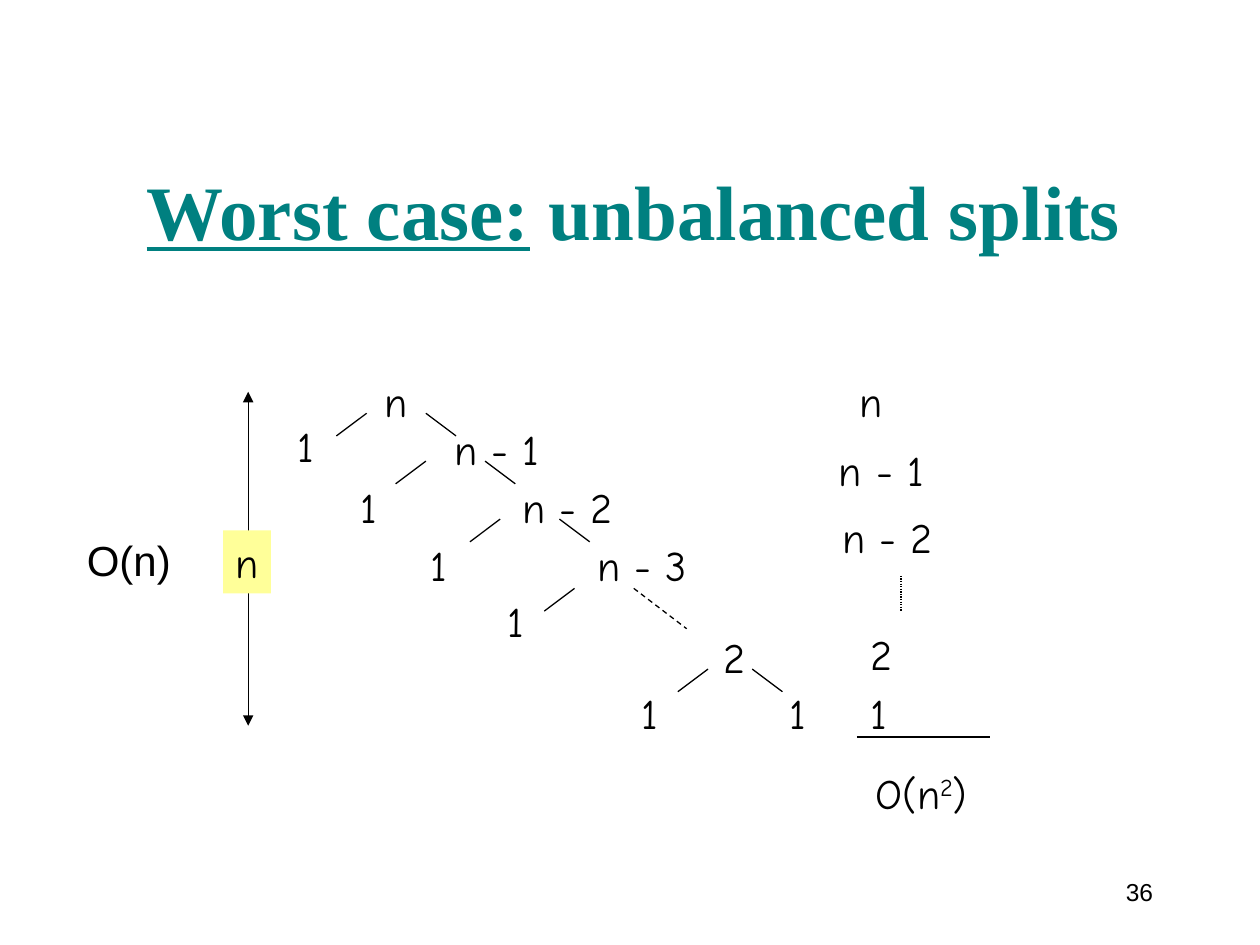
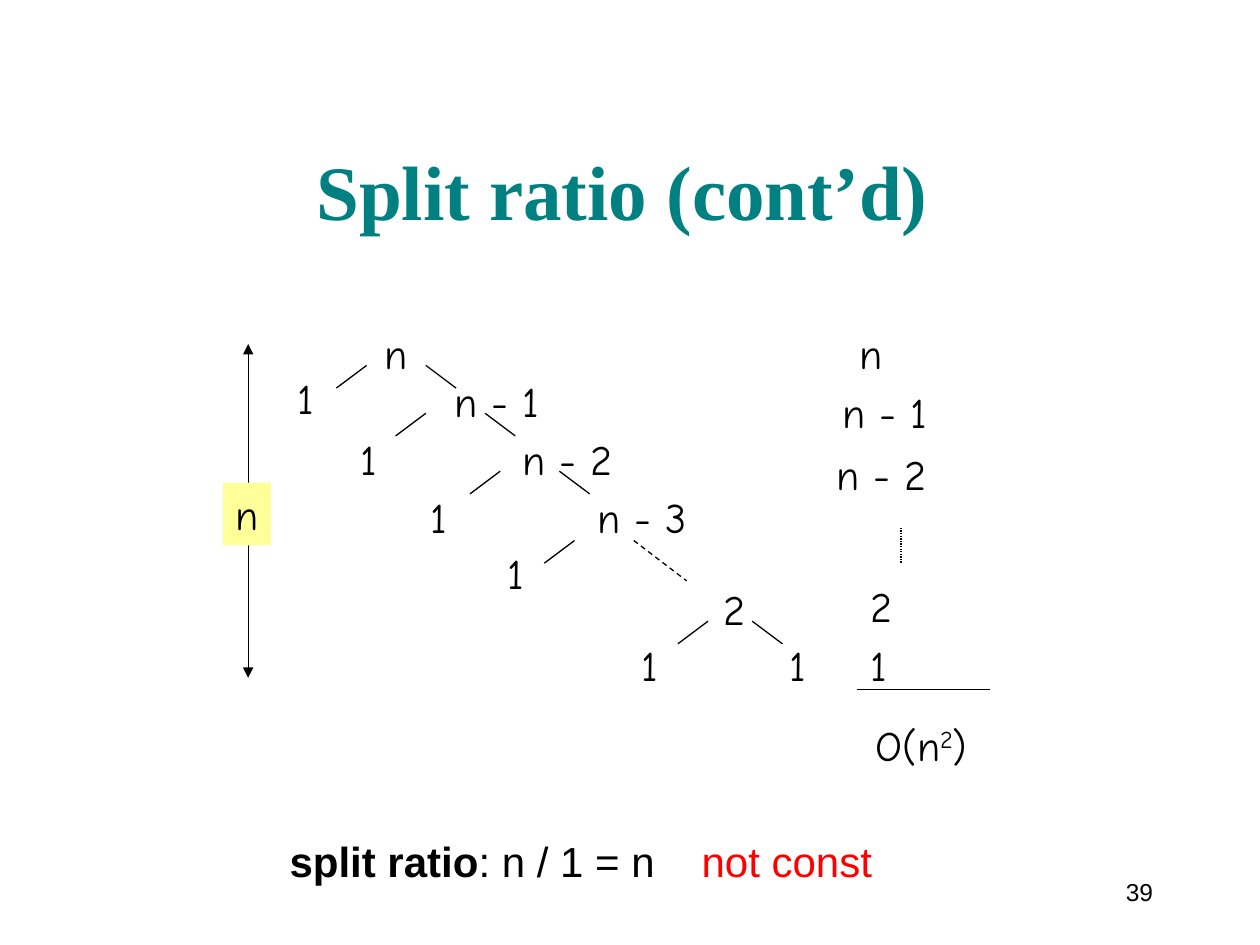
from lxml.etree import SubElement
from pptx import Presentation
from pptx.dml.color import RGBColor
from pptx.enum.dml import MSO_LINE_DASH_STYLE as Dash
from pptx.enum.shapes import MSO_CONNECTOR as Conn, MSO_SHAPE as Shape
from pptx.enum.text import MSO_ANCHOR as Anchor, PP_ALIGN as Align
from pptx.oxml.ns import qn
from pptx.util import Inches, Pt

COLORS = {"ink": "000000", "title": "008080", "depth": "FFFF99", "alert": "FF0000"}
BODY, HAND, TITLE = "Arial", "Comic Neue", "Times New Roman"
ROW = 0.5  # height of a one-line label
WIDTHS = {"n": 0.38, "n - 1": 0.95, "n - 2": 0.95, "n - 3": 0.95, "2": 0.37, "1": 0.33}

SLIDES = [
    {"number": "36", "title": [("Worst case:", {"underline": True}), " unbalanced splits"],
     "title_at": (0.25, 0.83), "tree_top": 2.93,
     "costs": [("n - 1", 6.56, 0.55), ("n - 2", 6.59, 1.08)],
     "note": {"text": "O(n)", "at": (0.59, 4.19, 0.95, ROW)}},
    {"number": "39", "title": ["Split ratio (cont’d)"],
     "title_at": (0.16, 0.67), "tree_top": 2.55,
     "costs": [("n - 1", 6.59, 0.47), ("n - 2", 6.54, 0.96)],
     "note": {"text": [("split ratio", {"bold": True}), ": n / 1 = n",
                       ("\tnot const", {"color": "alert"})],
              "at": (2.2, 6.58, 4.9, ROW), "tab": 3.27}},
]

# Heights below are measured from the top of the tree.
LABELS = [
    ("n", 2.95, 0), ("n - 1", 3.51, 0.38), ("n - 2", 4.05, 0.84), ("n - 3", 4.64, 1.3),
    ("2", 5.64, 2.03), ("1", 6.17, 2.48), ("1", 2.26, 0.36), ("1", 2.76, 0.84),
    ("1", 3.32, 1.3), ("1", 3.93, 1.75), ("1", 4.99, 2.48),
]
COMMON_COSTS = [("n", 6.72, 0), ("2", 6.81, 2.01), ("1", 6.81, 2.48)]
SPLITS = [  # left branch x, gap to right branch, height
    (2.91, 0.47, 0.35), (3.38, 0.47, 0.73), (3.97, 0.47, 1.19),
    (4.56, 0.47, 1.74), (5.62, 0.35, 2.38),
]
BRANCH = (0.24, 0.18)
LONG_BRANCH = (0.42, 0.32)
SKIPPED_SPLIT = 3  # its right branch stands for the levels left out


def rgb(name):
    return RGBColor.from_string(COLORS[name])


def add_text(shapes, text, at, font=HAND, size=24, color="ink", bold=False,
             align=Align.LEFT, anchor=Anchor.TOP, fill=None, tab=None):
    """Text is a string or a list of strings and (string, run format) pairs."""
    box = [Inches(v) for v in at]
    if fill:
        sp = shapes.add_shape(Shape.RECTANGLE, *box)
        sp.shadow.inherit = False
        sp.fill.solid()
        sp.fill.fore_color.rgb = rgb(fill)
        sp.line.fill.background()
    else:
        sp = shapes.add_textbox(*box)
    tf = sp.text_frame
    tf.word_wrap, tf.vertical_anchor = True, anchor
    p = tf.paragraphs[0]
    p.alignment = align
    if tab:
        stops = SubElement(p._p.get_or_add_pPr(), qn("a:tabLst"))
        SubElement(stops, qn("a:tab"), pos=str(Inches(tab)), algn="l")
    for part in [text] if isinstance(text, str) else text:
        words, style = (part, {}) if isinstance(part, str) else part
        r = p.add_run()
        r.text = words
        r.font.name, r.font.size = font, Pt(size)
        r.font.bold = style.get("bold", bold)
        r.font.underline = style.get("underline", False)
        r.font.color.rgb = rgb(style.get("color", color))
        if "baseline" in style:
            r._r.get_or_add_rPr().set("baseline", str(style["baseline"]))


def add_line(shapes, x, y, dx, dy, dash=None, arrows=False):
    ln = shapes.add_connector(Conn.STRAIGHT, Inches(x), Inches(y),
                              Inches(x + dx), Inches(y + dy))
    ln.line.color.rgb = rgb("ink")
    ln.line.width = Pt(0.75)
    if dash:
        ln.line.dash_style = dash
    if arrows:
        for end in ("a:headEnd", "a:tailEnd"):
            SubElement(ln.line._get_or_add_ln(), qn(end), type="triangle")
    SubElement(ln._element.spPr, qn("a:effectLst"))


def add_tree(shapes, top, costs):
    """Draw the recursion tree, its depth arrow and the column of level costs."""
    for text, x, y in LABELS + COMMON_COSTS + costs:
        add_text(shapes, text, (x, top + y, WIDTHS[text], ROW))
    dx, dy = BRANCH
    for i, (x, gap, y) in enumerate(SPLITS):
        add_line(shapes, x, top + y, -dx, dy)
        if i == SKIPPED_SPLIT:
            add_line(shapes, x + gap, top + y, *LONG_BRANCH, dash=Dash.DASH)
        else:
            add_line(shapes, x + gap, top + y, dx, dy)
    add_line(shapes, 1.97, top + 0.18, 0, 2.65, arrows=True)
    add_text(shapes, "n", (1.77, top + 1.28, WIDTHS["n"], ROW), fill="depth")
    add_line(shapes, 7.15, top + 1.64, 0, 0.28, dash=Dash.ROUND_DOT)
    add_line(shapes, 6.8, top + 2.92, 1.06, 0)
    total = ["O(n", ("2", {"baseline": 30000}), ")"]
    add_text(shapes, total, (6.85, top + 3.11, 1, ROW))


def main():
    prs = Presentation()
    prs.slide_width, prs.slide_height = Inches(10), Inches(7.5)
    for page in SLIDES:
        shapes = prs.slides.add_slide(prs.slide_layouts[6]).shapes
        add_text(shapes, page["number"], (8.58, 6.83, 0.67, ROW), font=BODY, size=14,
                 align=Align.RIGHT, anchor=Anchor.MIDDLE)
        add_text(shapes, page["title"], (*page["title_at"], 9.56, 1.25), font=TITLE,
                 size=44, color="title", bold=True, align=Align.CENTER,
                 anchor=Anchor.BOTTOM)
        add_tree(shapes.add_group_shape().shapes, page["tree_top"], page["costs"])
        add_text(shapes, **page["note"], font=BODY)
    prs.save("out.pptx")


if __name__ == "__main__":
    main()
